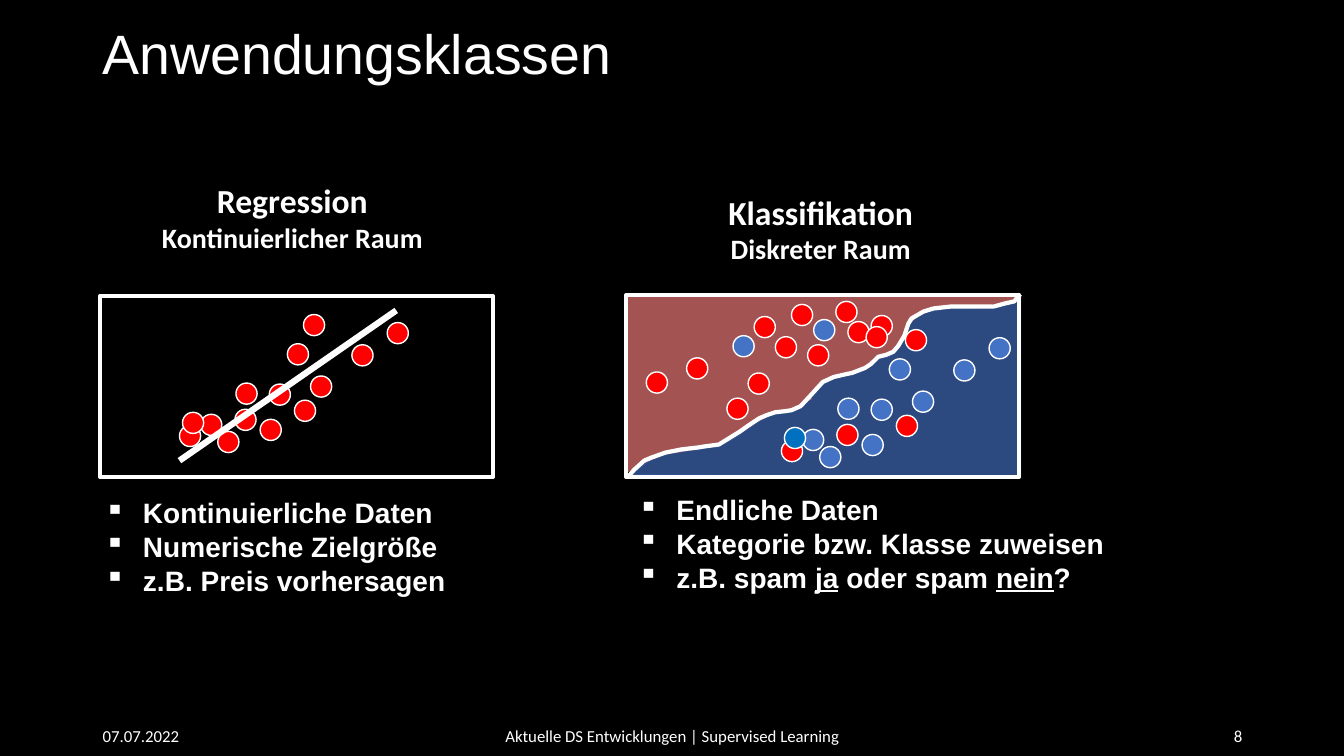
from lxml.etree import SubElement
from pptx import Presentation
from pptx.dml.color import RGBColor
from pptx.enum.shapes import MSO_CONNECTOR, MSO_SHAPE
from pptx.enum.text import MSO_ANCHOR, PP_ALIGN
from pptx.oxml.ns import qn
from pptx.util import Inches, Pt

COLORS = {"black": "000000", "white": "FFFFFF", "red": "FF0000", "blue": "4472C4",
          "cyan": "0070C0", "pink": "FC8080", "navy": "325491"}
DOT = 0.21
CLOUD = [(0.79, 1.28), (1, 1.17), (1.17, 1.34), (1.34, 1.12), (1.59, 1.22),
         (1.35, 0.86), (1.68, 0.87), (1.93, 1.03), (2.09, 0.79), (2.02, 0.18),
         (1.86, 0.47), (2.5, 0.48), (2.85, 0.26), (0.82, 1.15)]
CLOUD_CLASSES = "RBBRBBBRBRBBBC"
CLOUD_SHIFT = (0.75, 0.16)
UPPER_DOTS = [(2.43, 0.2), (2.2, 0.26), (2.08, 0.06), (1.86, 0.24), (1.64, 0.09),
              (1.8, 0.49), (1.48, 0.41), (1.27, 0.21), (1.06, 0.4), (1, 1.02),
              (1.21, 0.77), (0.6, 0.62), (0.2, 0.76), (2.38, 0.31)]
UPPER_CLASSES = "RRRBRRRRBRRRRR"
CLASS_COLORS = {"R": "red", "B": "blue", "C": "cyan"}
BLUE_AREA = [(0.04, 1.78), (3.91, 1.8), (3.91, 0.01), (3.82, 0.07), (3.69, 0.11),
             (3.43, 0.13), (3.17, 0.13), (3.07, 0.15), (2.95, 0.17), (2.83, 0.21),
             (2.77, 0.33), (2.73, 0.45), (2.72, 0.5), (2.67, 0.56), (2.6, 0.61),
             (2.53, 0.62), (2.43, 0.65), (2.37, 0.73), (2.16, 0.8), (2.01, 0.84),
             (1.88, 0.91), (1.78, 1.07), (1.68, 1.14), (1.45, 1.18), (1.28, 1.27),
             (1.04, 1.44), (0.72, 1.53), (0.47, 1.55), (0.3, 1.59), (0.18, 1.68)]
RED_AREA = [(0.02, -0.02), (0.01, 1.76), (0.21, 1.65), (0.39, 1.58), (0.7, 1.53),
            (0.88, 1.5), (1.07, 1.41), (1.18, 1.34), (1.31, 1.25), (1.44, 1.19),
            (1.56, 1.15), (1.7, 1.13), (1.76, 1.08), (1.84, 1.03), (1.84, 0.98),
            (1.91, 0.9), (2.01, 0.83), (2.16, 0.79), (2.34, 0.73), (2.49, 0.65),
            (2.51, 0.61), (2.6, 0.58), (2.65, 0.56), (2.72, 0.51), (2.77, 0.33),
            (2.89, 0.21), (3.06, 0.14), (3.34, 0.12), (3.55, 0.1), (3.79, 0.08),
            (3.88, 0.01)]
BOUNDARY = [(0.02, 1.8), (0.08, 1.73), (0.18, 1.64), (0.25, 1.61), (0.39, 1.56),
            (0.54, 1.53), (0.62, 1.52), (0.71, 1.51), (0.77, 1.5), (0.92, 1.48),
            (1.13, 1.35), (1.2, 1.3), (1.32, 1.22), (1.39, 1.19), (1.48, 1.16),
            (1.57, 1.15), (1.64, 1.14), (1.73, 1.1), (1.86, 0.96), (1.95, 0.86),
            (2.06, 0.81), (2.19, 0.78), (2.24, 0.77), (2.37, 0.72), (2.43, 0.68),
            (2.5, 0.61), (2.58, 0.59), (2.65, 0.56), (2.7, 0.5), (2.73, 0.45),
            (2.76, 0.4), (2.8, 0.28), (2.83, 0.23), (2.95, 0.16), (3.05, 0.13),
            (3.23, 0.11), (3.65, 0.11), (3.76, 0.08), (3.85, 0.06), (3.88, 0.02),
            (3.91, -0.01)]


def rgb(name):
    """Return the named colour."""
    return RGBColor.from_string(COLORS[name])


def style(sp, fill=None, line=None, width=1, alpha=None):
    """Set fill, outline and opacity of a shape and drop its shadow."""
    sp.shadow.inherit = False
    if fill:
        sp.fill.solid()
        sp.fill.fore_color.rgb = rgb(fill)
    else:
        sp.fill.background()
    if alpha:
        color = sp.fill._xPr.find(qn("a:solidFill"))[0]
        SubElement(color, qn("a:alpha"), val=str(alpha * 1000))
    if line:
        sp.line.color.rgb = rgb(line)
        sp.line.width = Pt(width)
    else:
        sp.line.fill.background()


def add_text(s, box, paragraphs, sizes, font="Calibri", bold=False,
             align=PP_ALIGN.LEFT, anchor=MSO_ANCHOR.TOP):
    """Add a text box whose paragraphs are lists of (text, underlined) runs."""
    tf = s.shapes.add_textbox(*map(Inches, box)).text_frame
    tf.word_wrap = True
    tf.vertical_anchor = anchor
    for i, (runs, size) in enumerate(zip(paragraphs, sizes)):
        p = tf.paragraphs[0] if i == 0 else tf.add_paragraph()
        p.alignment = align
        p.font.name, p.font.size, p.font.bold = font, Pt(size), bold
        p.font.color.rgb = rgb("white")
        for text, underlined in runs:
            r = p.add_run()
            r.text = text
            if underlined:
                r.font.underline = True
    return tf


def plain(*texts):
    """Turn plain lines into paragraphs of one run."""
    return [[(text, False)] for text in texts]


def add_heading(s, box, name, space):
    """Add the centred heading of a problem class."""
    add_text(s, box, plain(name, space), (24, 20), bold=True, align=PP_ALIGN.CENTER)


def add_bullets(s, box, paragraphs):
    """Add a bold list with square bullets."""
    tf = add_text(s, box, paragraphs, [20] * len(paragraphs), "Arial", True)
    for p in tf.paragraphs:
        pPr = p._p.get_or_add_pPr()
        pPr.set("marL", str(Inches(0.38)))
        pPr.set("indent", str(-Inches(0.38)))
        bullet = pPr.makeelement(qn("a:buChar"), {"char": "▪"})
        pPr.find(qn("a:defRPr")).addprevious(bullet)


def add_path(s, box, points, closed):
    """Draw an outline through points given relative to the box."""
    places = [(Inches(box[0] + x), Inches(box[1] + y)) for x, y in points]
    builder = s.shapes.build_freeform(*places[0])
    builder.add_line_segments(places[1:], close=closed)
    return builder.convert_to_shape()


def add_frame(s, box):
    """Draw the white frame of a chart panel."""
    style(s.shapes.add_shape(MSO_SHAPE.RECTANGLE, *map(Inches, box)), None, "white", 3)


def add_dots(s, box, points, classes, shift=(0, 0)):
    """Scatter dots coloured by class inside the box."""
    for (x, y), c in zip(points, classes):
        place = (box[0] + shift[0] + x, box[1] + shift[1] + y, DOT, DOT)
        dot = s.shapes.add_shape(MSO_SHAPE.OVAL, *map(Inches, place))
        style(dot, CLASS_COLORS[c], "white")


def add_regression(s, box):
    """Draw the regression panel with its trend line."""
    left, top = box[:2]
    add_frame(s, box)
    add_dots(s, box, CLOUD, "R" * len(CLOUD))
    ends = (left + 0.79, top + 1.63, left + 2.94, top + 0.14)
    trend = s.shapes.add_connector(MSO_CONNECTOR.STRAIGHT, *map(Inches, ends))
    trend.line.color.rgb = rgb("white")
    trend.line.width = Pt(4.5)
    SubElement(trend._element.spPr, qn("a:effectLst"))
    add_heading(s, (left - 0.04, top - 1.2, 3.9, 0.84), "Regression", "Kontinuierlicher Raum")
    add_bullets(s, (left - 0.05, top + 1.93, 3.9, 1.11), plain(
        "Kontinuierliche Daten", "Numerische Zielgröße", "z.B. Preis vorhersagen"))


def add_classification(s, box):
    """Draw the classification panel with its two areas and boundary."""
    left, top = box[:2]
    style(add_path(s, box, BLUE_AREA, True), "blue", "navy", 1, 65)
    style(add_path(s, box, RED_AREA, True), "pink", alpha=65)
    add_frame(s, box)
    add_dots(s, box, CLOUD, CLOUD_CLASSES, CLOUD_SHIFT)
    add_dots(s, box, UPPER_DOTS, UPPER_CLASSES)
    style(add_path(s, box, BOUNDARY, False), None, "white", 3)
    add_heading(s, (left - 0.03, top - 1.08, 3.92, 0.84), "Klassifikation", "Diskreter Raum")
    question = [("z.B. spam ", False), ("ja", True), (" oder spam ", False),
                ("nein", True), ("?", False)]
    add_bullets(s, (left + 0.02, top + 1.91, 5.06, 1.45),
                plain("Endliche Daten", "Kategorie bzw. Klasse zuweisen") + [question])


def add_title(s, box):
    """Add the slide title."""
    tf = add_text(s, box, plain("Anwendungsklassen"), [39.6], "Arial", anchor=MSO_ANCHOR.MIDDLE)
    tf.paragraphs[0].line_spacing = 0.9


def add_footer(s, box):
    """Add date, topic and page number along the box."""
    left, top, width, height = box
    parts = [("07.07.2022", 0, 3, PP_ALIGN.LEFT),
             ("Aktuelle DS Entwicklungen | Supervised Learning", 3.5, 4.5, PP_ALIGN.CENTER),
             ("8", width - 3, 3, PP_ALIGN.RIGHT)]
    for text, x, w, align in parts:
        add_text(s, (left + x, top, w, height), plain(text), [12],
                 align=align, anchor=MSO_ANCHOR.MIDDLE)


def main():
    """Build and save the slide."""
    prs = Presentation()
    prs.slide_width, prs.slide_height = Inches(13.33), Inches(7.5)
    s = prs.slides.add_slide(prs.slide_layouts[6])
    s.background.fill.solid()
    s.background.fill.fore_color.rgb = rgb("black")
    add_title(s, (0.92, 0.19, 11.5, 0.75))
    add_regression(s, (0.99, 2.94, 3.9, 1.79))
    add_classification(s, (6.21, 2.93, 3.9, 1.8))
    add_footer(s, (0.92, 7.1, 11.5, 0.4))
    prs.save("out.pptx")


if __name__ == "__main__":
    main()
